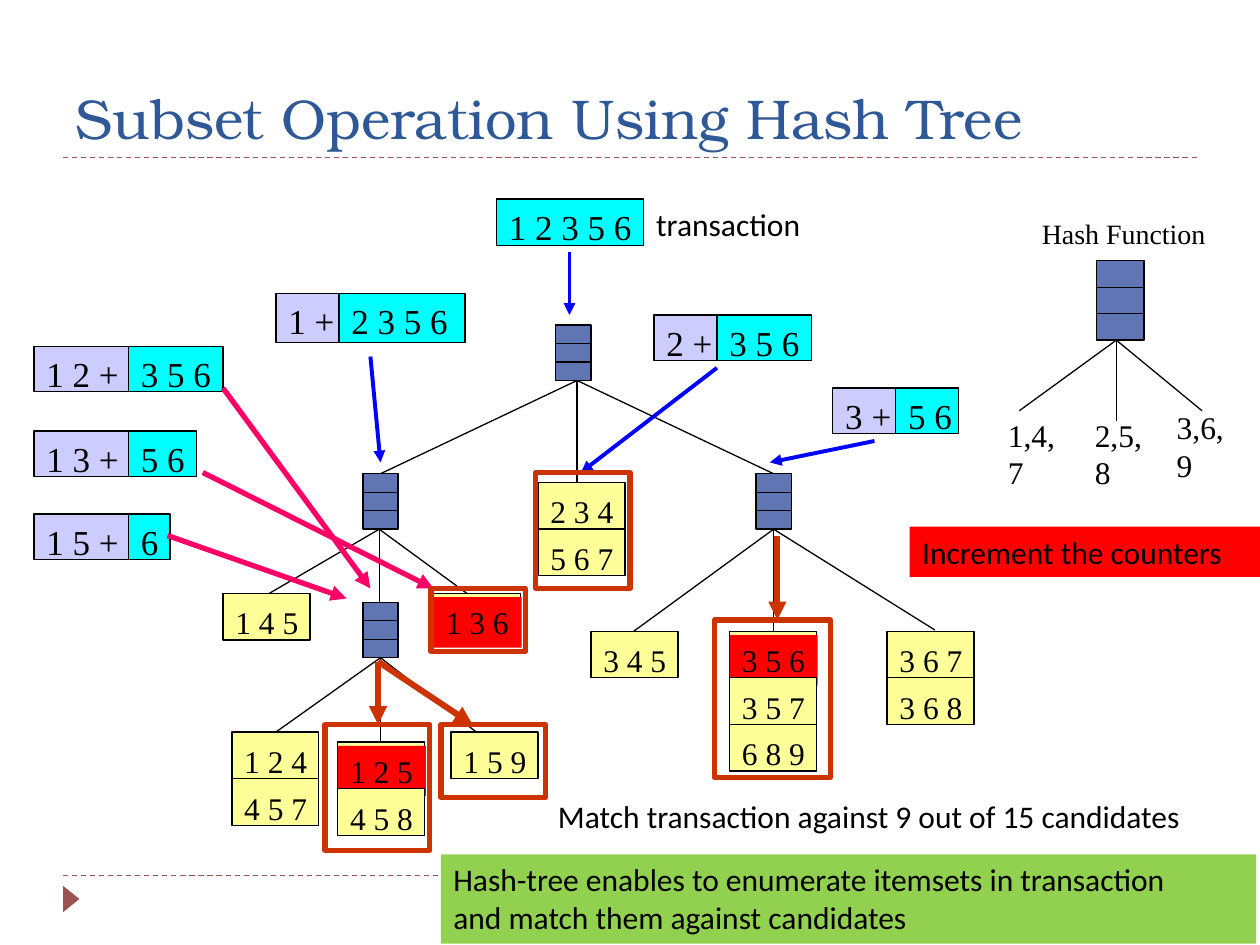
from dataclasses import dataclass

import pptx
import pptx.dml.color
import pptx.enum.dml
import pptx.enum.shapes
import pptx.enum.text
import pptx.oxml.ns
import pptx.util
from lxml import etree

Inches = pptx.util.Inches
Shapes = pptx.enum.shapes.MSO_SHAPE
AutoSize = pptx.enum.text.MSO_AUTO_SIZE
SERIF, SANS, TITLE_FONT = "Times New Roman", "Calibri", "TeX Gyre Bonum"
BLACK, RED, YELLOW, CYAN, LILAC = "000000", "FF0000", "FFFF99", "00FFFF", "CCCCFF"
STEEL, BLUE, PINK, RUST, MAROON = "6076B4", "0000FF", "FF0066", "CC3300", "9C5252"
CELL_WIDTH, CELL_HEIGHT = 0.69, 0.37


@dataclass
class Node:
    left: float
    top: float
    fork: float
    children: list[tuple[float, float]]
    width: float = 0.28
    height: float = 0.44


@dataclass
class Bucket:
    left: float
    top: float
    itemsets: list[str]
    matched: str = ""


@dataclass
class Split:
    """A fixed prefix followed by the items still to be enumerated."""
    left: float
    top: float
    prefix: str
    rest: str
    prefix_width: float
    rest_width: float
    height: float = 0.36


@dataclass
class ArrowSet:
    color: str
    weight: float
    ends: list[tuple[float, float, float, float]]


NODES = [
    Node(4.41, 2.58, 4.58, [(3.02, 3.76), (4.58, 3.83), (6.14, 3.76)]),
    Node(2.88, 3.76, 3.01, [(2.12, 4.72), (3.01, 4.78), (3.72, 4.72)]),
    Node(6.00, 3.76, 6.14, [(5.03, 5.01), (6.14, 5.01), (7.42, 5.00)]),
    Node(2.88, 4.78, 3.02, [(2.19, 5.81), (3.02, 5.89), (3.78, 5.81)]),
    Node(8.70, 2.07, 8.86, [(8.09, 3.26), (8.86, 3.34), (9.54, 3.26)], 0.38, 0.63),
]
BUCKETS = [
    Bucket(3.58, 5.81, ["1 5 9"]),
    Bucket(1.77, 4.71, ["1 4 5"]),
    Bucket(3.44, 4.71, ["1 3 6"], "1 3 6"),
    Bucket(4.69, 5.01, ["3 4 5"]),
    Bucket(7.04, 5.01, ["3 6 7", "3 6 8"]),
    Bucket(5.79, 5.01, ["3 5 6", "3 5 7", "6 8 9"], "3 5 6"),
    Bucket(4.27, 3.83, ["2 3 4", "5 6 7"]),
    Bucket(1.84, 5.81, ["1 2 4", "4 5 7"]),
    Bucket(2.68, 5.89, ["1 2 5", "4 5 8"], "1 2 5"),
]
SPLITS = [
    Split(0.27, 2.75, "1 2 +", "3 5 6", 0.75, 0.75),
    Split(0.27, 3.42, "1 3 +", "5 6", 0.75, 0.54),
    Split(0.27, 4.08, "1 5 +", "6", 0.75, 0.33),
    Split(5.19, 2.50, "2 +", "3 5 6", 0.5, 0.75),
    Split(6.61, 3.08, "3 +", "5 6", 0.5, 0.5),
    Split(2.19, 2.33, "1 +", "2 3 5 6", 0.5, 1, 0.39),
]
ARROWS = [
    ArrowSet(BLUE, 2.25, [(4.52, 2, 4.52, 2.5), (2.94, 2.83, 3.02, 3.67),
                          (5.69, 2.92, 4.61, 3.75), (6.94, 3.5, 6.11, 3.67)]),
    ArrowSet(PINK, 3, [(1.77, 3.08, 2.94, 4.67), (1.33, 4.25, 2.75, 4.75),
                       (1.61, 3.75, 3.44, 4.67)]),
    ArrowSet(RUST, 3.5, [(3, 5.25, 3, 5.75), (3, 5.25, 3.75, 5.75),
                         (6.17, 4.25, 6.17, 4.92)]),
]
VISITED = [(2.58, 5.75, 0.83, 1), (3.5, 5.75, 0.83, 0.58), (4.25, 3.75, 0.75, 0.92),
           (3.42, 4.67, 0.75, 0.5), (5.67, 4.92, 0.92, 1.25)]
HASH_LABELS = [(7.9, 3.25, "1,4,7"), (8.59, 3.25, "2,5,8"), (9.24, 3.19, "3,6,9")]


def rgb(value: str) -> pptx.dml.color.RGBColor:
    return pptx.dml.color.RGBColor.from_string(value)


def format_font(font, size: float, name: str, color: str = BLACK) -> None:
    for key, value in {"size": pptx.util.Pt(size), "name": name}.items():
        setattr(font, key, value)
    font.color.rgb = rgb(color)


def add_line(page, x1: float, y1: float, x2: float, y2: float, color: str = BLACK,
             weight: float = 0.75, dashed: bool = False, arrow: bool = False) -> None:
    line = page.shapes.add_connector(pptx.enum.shapes.MSO_CONNECTOR.STRAIGHT,
                                     Inches(x1), Inches(y1), Inches(x2), Inches(y2))
    line.line.color.rgb = rgb(color)
    line.line.width = pptx.util.Pt(weight)
    if dashed:
        line.line.dash_style = pptx.enum.dml.MSO_LINE.DASH
    if arrow:
        outline = line.line._get_or_add_ln()
        etree.SubElement(outline, pptx.oxml.ns.qn("a:tailEnd"), type="triangle")
    etree.SubElement(line._element.spPr, pptx.oxml.ns.qn("a:effectLst"))


def add_block(page, left: float, top: float, width: float, height: float, fill: str = "",
              line: str = BLACK, weight: float = 0.75, kind=Shapes.RECTANGLE):
    """Add a preset shape; an empty fill or line colour means none."""
    block = page.shapes.add_shape(kind, Inches(left), Inches(top), Inches(width), Inches(height))
    block.shadow.inherit = False
    for part, color in ((block.fill, fill), (block.line.fill, line)):
        if color:
            part.solid()
            part.fore_color.rgb = rgb(color)
        else:
            part.background()
    if line:
        block.line.width = pptx.util.Pt(weight)
    return block


def add_text(page, left: float, top: float, width: float, height: float, lines: list[str],
             size: float = 18, font: str = SERIF, fill: str = "", wrap: bool = False) -> None:
    box = page.shapes.add_textbox(Inches(left), Inches(top), Inches(width), Inches(height))
    if fill:
        box.fill.solid()
        box.fill.fore_color.rgb = rgb(fill)
    frame = box.text_frame
    frame.word_wrap = wrap
    frame.auto_size = AutoSize.NONE if wrap else AutoSize.SHAPE_TO_FIT_TEXT
    for index, line in enumerate(lines):
        para = frame.add_paragraph() if index else frame.paragraphs[0]
        span = para.add_run()
        span.text = line
        format_font(span.font, size, font)


def draw_edges(page, node: Node) -> None:
    for x, y in node.children:
        add_line(page, node.fork, node.top + node.height, x, y)


def draw_node(page, node: Node) -> None:
    add_block(page, node.left, node.top, node.width, node.height, STEEL)
    for third in (1, 2):
        y = node.top + node.height * third / 3
        add_line(page, node.left, y, node.left + node.width, y)


def draw_bucket(page, bucket: Bucket) -> None:
    for row, itemset in enumerate(bucket.itemsets):
        top = bucket.top + row * CELL_HEIGHT
        add_block(page, bucket.left, top, CELL_WIDTH, CELL_HEIGHT, YELLOW)
        fill = RED if itemset == bucket.matched else ""
        add_text(page, bucket.left, top + 0.03, 0.7, 0.4, [itemset], fill=fill)


def draw_item(page, left: float, top: float, width: float, height: float,
              text: str, fill: str) -> None:
    """Draw a filled cell with a label box as wide as its characters need."""
    add_block(page, left, top, width, height, fill)
    text_width = 0.14 + 0.21 * len(text.split()) + 0.02 * text.count("+")
    add_text(page, left, top, text_width, 0.43, [text], 20)


def draw_split(page, split: Split) -> None:
    middle = split.left + split.prefix_width
    draw_item(page, middle, split.top, split.rest_width, split.height, split.rest, CYAN)
    draw_item(page, split.left, split.top, split.prefix_width, split.height, split.prefix, LILAC)


def draw_title(page) -> None:
    title = page.shapes.title
    place = {"left": 0.5, "top": 0.25, "width": 9, "height": 1}
    for key, value in place.items():
        setattr(title, key, Inches(value))
    frame = title.text_frame
    frame.text = "Subset Operation Using Hash Tree"
    frame.auto_size = AutoSize.NONE
    frame.vertical_anchor = pptx.enum.text.MSO_ANCHOR.BOTTOM
    frame.paragraphs[0].alignment = pptx.enum.text.PP_ALIGN.LEFT
    format_font(frame.paragraphs[0].runs[0].font, 32, TITLE_FONT, "2F5897")


def main() -> None:
    deck = pptx.Presentation()
    deck.slide_width, deck.slide_height = Inches(10), Inches(7.5)
    page = deck.slides.add_slide(deck.slide_layouts[5])
    for y in (6.95, 1.25):
        add_line(page, 0.5, y, 9.5, y, MAROON, dashed=True)
    marker = add_block(page, 0.46, 7.07, 0.21, 0.13, MAROON, "", kind=Shapes.ISOSCELES_TRIANGLE)
    marker.rotation = 90
    draw_title(page)
    for draw, items in ((draw_edges, NODES), (draw_node, NODES),
                        (draw_bucket, BUCKETS), (draw_split, SPLITS)):
        for item in items:
            draw(page, item)
    draw_item(page, 3.94, 1.58, 1.17, 0.37, "1 2 3 5 6", CYAN)
    for arrows in ARROWS:
        for ends in arrows.ends:
            add_line(page, *ends, arrows.color, arrows.weight, arrow=True)
    for frame in VISITED:
        add_block(page, *frame, line=RUST, weight=3)
    for left, top, label in HASH_LABELS:
        add_text(page, left, top, 0.59, 0.33, [label], wrap=True)
    add_text(page, 8.17, 1.67, 1.51, 0.37, ["Hash Function"], 16)
    add_text(page, 5.11, 1.58, 1.44, 0.4, ["transaction"], font=SANS)
    add_text(page, 4.33, 6.28, 5.63, 0.4, ["Match transaction against 9 out of 15 candidates"],
             font=SANS, wrap=True)
    add_text(page, 3.5, 6.78, 6.47, 0.71,
             ["Hash-tree enables to enumerate itemsets in transaction",
              "and match them against candidates"], font=SANS, fill="92D050", wrap=True)
    add_text(page, 7.22, 4.18, 2.78, 0.4, ["Increment the counters"],
             font=SANS, fill=RED, wrap=True)
    deck.save("out.pptx")


if __name__ == "__main__":
    main()
